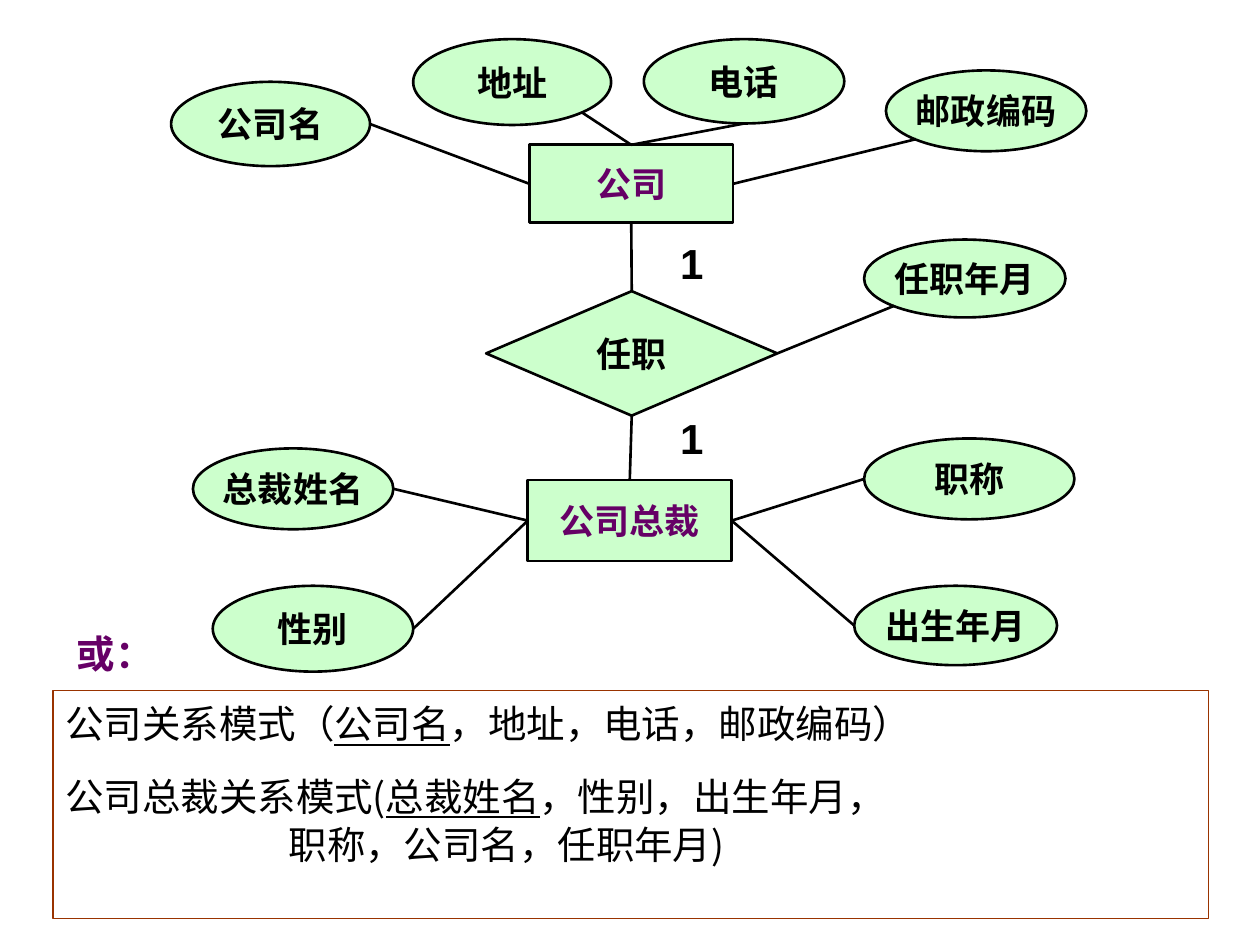
from lxml import etree
from pptx import Presentation
from pptx.dml.color import RGBColor
from pptx.enum.shapes import MSO_CONNECTOR, MSO_SHAPE
from pptx.enum.text import MSO_ANCHOR, PP_ALIGN
from pptx.oxml.ns import qn
from pptx.util import Cm, Pt

BLACK = RGBColor(0x00, 0x00, 0x00)
GREEN = RGBColor(0xCC, 0xFF, 0xCC)
PURPLE = RGBColor(0x66, 0x00, 0x66)
BROWN = RGBColor(0x99, 0x33, 0x00)

OVAL, RECT = MSO_SHAPE.OVAL, MSO_SHAPE.RECTANGLE
RHOMB = MSO_SHAPE.FLOWCHART_DECISION
LINE = MSO_CONNECTOR.STRAIGHT
CENTER, LEFT = PP_ALIGN.CENTER, PP_ALIGN.LEFT
MIDDLE, TOP, BOTTOM = MSO_ANCHOR.MIDDLE, MSO_ANCHOR.TOP, MSO_ANCHOR.BOTTOM

LABEL = {"name": "Arial", "size": Pt(20), "bold": True}
COUNT = {"name": "Arial", "size": Pt(24), "bold": True}
HEAD = {"name": "Arial", "size": Pt(22), "bold": True}
BODY = {"name": "Noto Sans CJK SC", "size": Pt(22), "bold": False}

# name: kind, left, top, width, height (cm, within the diagram)
NODES = {
    "公司": (RECT, 7.22, 2.13, 4.11, 1.57),
    "公司名": (OVAL, 0, 0.86, 4.01, 1.7),
    "地址": (OVAL, 4.88, 0, 3.99, 1.73),
    "电话": (OVAL, 9.53, 0, 4.04, 1.7),
    "邮政编码": (OVAL, 14.41, 0.63, 4.04, 1.63),
    "任职": (RHOMB, 6.35, 5.08, 5.87, 2.51),
    "任职年月": (OVAL, 13.97, 4.04, 4.06, 1.57),
    "公司总裁": (RECT, 7.19, 8.89, 4.11, 1.63),
    "总裁姓名": (OVAL, 0.44, 8.25, 4.04, 1.63),
    "性别": (OVAL, 0.84, 11.02, 4.04, 1.73),
    "职称": (OVAL, 13.97, 8.05, 4.24, 1.63),
    "出生年月": (OVAL, 13.77, 11.02, 4.09, 1.6),
}

# Points on a node's edge, as shares of its width and height
SITES = {"n": (0.5, 0), "s": (0.5, 1), "w": (0, 0.5), "e": (1, 0.5),
         "sw": (0.15, 0.85), "se": (0.85, 0.85)}
LINKS = [
    ("公司名", "e", "公司", "w"),
    ("地址", "se", "公司", "n"),
    ("电话", "s", "公司", "n"),
    ("邮政编码", "sw", "公司", "e"),
    ("公司", "s", "任职", "n"),
    ("任职", "e", "任职年月", "sw"),
    ("任职", "s", "公司总裁", "n"),
    ("总裁姓名", "e", "公司总裁", "w"),
    ("性别", "e", "公司总裁", "w"),
    ("公司总裁", "e", "职称", "w"),
    ("公司总裁", "e", "出生年月", "w"),
]

# Space before (pt), left margin and indent (cm), runs with underline flag
RULES = [
    (0, 0.97, -0.97, [("公司关系模式（", False), ("公司名", True),
                      ("，地址，电话，邮政编码）", False)]),
    (15, 0.97, -0.97, [("公司总裁关系模式(", False), ("总裁姓名", True),
                       ("，性别，出生年月，", False)]),
    (1, 4.5, 0, [("职称，公司名，任职年月)", False)]),
]


def add_run(para, text, style, color):
    run = para.add_run()
    run.text = text
    for key, value in style.items():
        setattr(run.font, key, value)
    run.font.color.rgb = color
    return run


def set_text(shape, text, style, color, align, anchor, wrap=False):
    frame = shape.text_frame
    frame.word_wrap = wrap
    frame.vertical_anchor = anchor
    para = frame.paragraphs[0]
    para.alignment = align
    add_run(para, text, style, color)


def add_note(slide, box, text, style, color, anchor, wrap):
    note = slide.shapes.add_textbox(*map(Cm, box))
    set_text(note, text, style, color, LEFT, anchor, wrap)


def add_node(slide, kind, box, text):
    node = slide.shapes.add_shape(kind, *map(Cm, box))
    node.shadow.inherit = False
    node.fill.solid()
    node.fill.fore_color.rgb = GREEN
    node.line.color.rgb = BLACK
    node.line.width = Pt(1.5)
    color = PURPLE if kind == RECT else BLACK
    set_text(node, text, LABEL, color, CENTER, MIDDLE)
    return node


def site(node, side):
    across, down = SITES[side]
    return (int(node.left + across * node.width),
            int(node.top + down * node.height))


def add_link(slide, start, end):
    link = slide.shapes.add_connector(LINE, *start, *end)
    link.line.color.rgb = BLACK
    link.line.width = Pt(1.5)
    etree.SubElement(link._element.spPr, qn("a:effectLst"))


def add_diagram(slide, left, top):
    nodes = {}
    for name, (kind, x, y, width, height) in NODES.items():
        box = (left + x, top + y, width, height)
        nodes[name] = add_node(slide, kind, box, name)
    for first, out, last, into in LINKS:
        add_link(slide, site(nodes[first], out), site(nodes[last], into))
    for y in (3.88, 7.41):
        box = (left + 10.01, top + y, 1.47, 1.27)
        add_note(slide, box, "1", COUNT, BLACK, TOP, True)


def add_rules(slide, left, top, width, height):
    """Frame the relation schemas, with their heading above the frame."""
    head = (left + 0.23, top - 1.35, 2.06, 1.19)
    add_note(slide, head, "或：", HEAD, PURPLE, BOTTOM, False)

    panel = slide.shapes.add_shape(RECT, *map(Cm, (left, top, width, height)))
    panel.shadow.inherit = False
    panel.fill.background()
    panel.line.color.rgb = BROWN
    panel.line.width = Pt(0.75)
    frame = panel.text_frame
    frame.word_wrap = True
    frame.vertical_anchor = TOP
    frame.margin_top = Cm(0.2)
    for i, (before, margin, indent, runs) in enumerate(RULES):
        para = frame.add_paragraph() if i else frame.paragraphs[0]
        para.alignment = LEFT
        para.space_before = Pt(before)
        props = para._p.get_or_add_pPr()
        props.set("marL", str(Cm(margin)))
        props.set("indent", str(Cm(indent)))
        for text, under in runs:
            add_run(para, text, BODY, BLACK).font.underline = under


def main():
    deck = Presentation()
    deck.slide_width, deck.slide_height = Cm(25.4), Cm(19.05)
    slide = deck.slides.add_slide(deck.slide_layouts[6])
    add_diagram(slide, 3.45, 0.79)
    add_rules(slide, 1.07, 13.92, 23.29, 4.6)
    deck.save("out.pptx")


if __name__ == "__main__":
    main()
